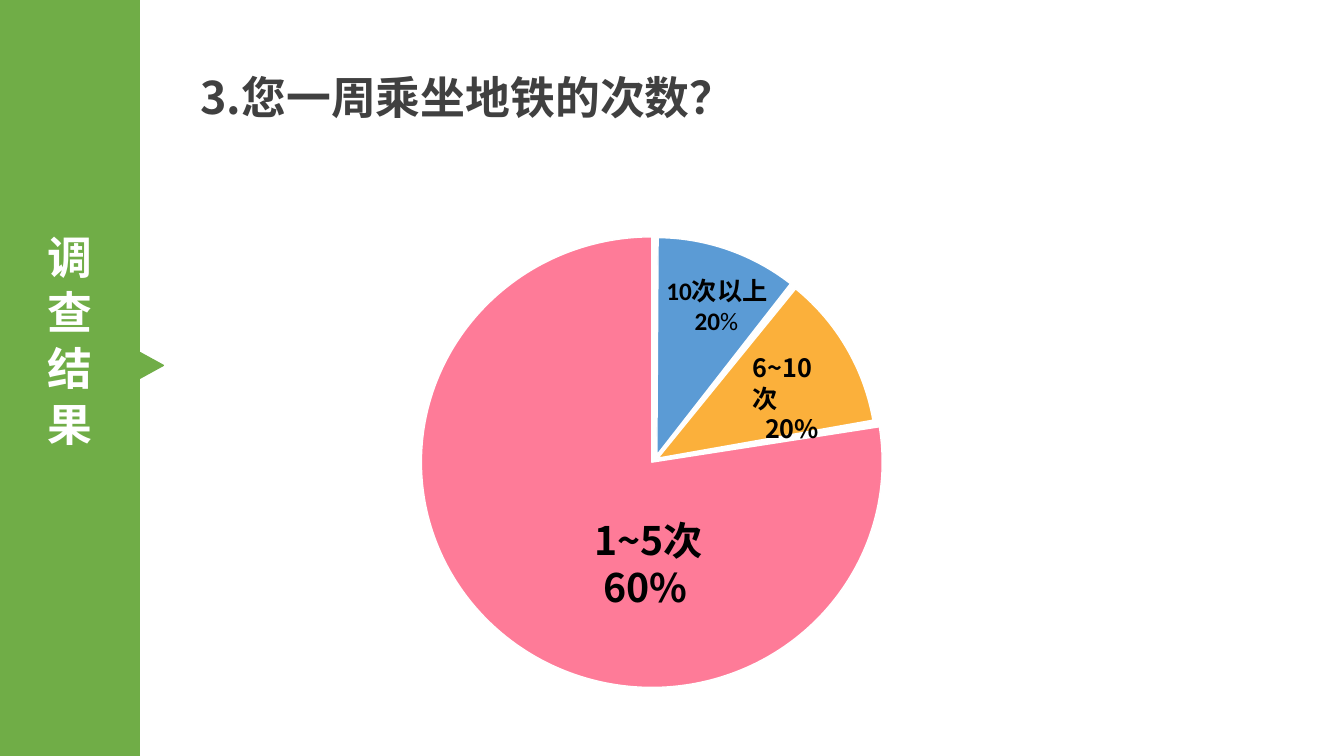
from dataclasses import dataclass

from lxml.etree import SubElement
from pptx import Presentation
from pptx.dml.color import RGBColor
from pptx.enum.shapes import MSO_SHAPE
from pptx.enum.text import MSO_AUTO_SIZE
from pptx.oxml.ns import qn
from pptx.util import Inches, Pt


@dataclass(frozen=True)
class Theme:
    """Colours, fonts and type sizes of the slide."""
    green: str = "70AD47"
    pink: str = "FE7B98"
    blue: str = "5B9BD5"
    orange: str = "FBB03B"
    white: str = "FFFFFF"
    black: str = "000000"
    grey: str = "404040"
    latin: str = "Calibri"
    cjk: str = "Noto Sans CJK SC"
    heading: int = 32
    large: int = 28
    small: int = 18


class SurveySlide:
    """Draws survey elements on one slide in one theme."""

    def __init__(self, slide, theme):
        self.shapes = slide.shapes
        self.theme = theme

    def block(self, preset, box, fill, line, rotation=0, angles=()):
        """Add a filled preset shape."""
        block = self.shapes.add_shape(preset, *map(Inches, box))
        block.rotation = rotation
        block.shadow.inherit = False
        block.fill.solid()
        block.fill.fore_color.rgb = RGBColor.from_string(fill)
        block.line.color.rgb = RGBColor.from_string(line)
        block.line.width = Pt(1)
        for index, angle in enumerate(angles):
            block.adjustments[index] = angle

    def slice(self, box, fill, rotation, angles):
        """Add a pie slice with a white edge."""
        self.block(MSO_SHAPE.PIE, box, fill, self.theme.white, rotation, angles)

    def text(self, box, lines, size, color, latin=None, indent=0, vertical=False):
        """Add a text box whose later lines are indented."""
        frame = self.shapes.add_textbox(*map(Inches, box)).text_frame
        frame.word_wrap = True
        frame.auto_size = MSO_AUTO_SIZE.SHAPE_TO_FIT_TEXT
        if vertical:
            frame._txBody.bodyPr.set("vert", "eaVert")
        for number, pieces in enumerate(lines):
            paragraph = frame.add_paragraph() if number else frame.paragraphs[0]
            if number:
                paragraph._p.get_or_add_pPr().set("marL", str(Inches(indent)))
            for words, bold in pieces:
                run = paragraph.add_run()
                run.text = words
                style = {"size": Pt(size), "bold": bold,
                         "name": latin or self.theme.cjk}
                for attribute, value in style.items():
                    setattr(run.font, attribute, value)
                run.font.color.rgb = RGBColor.from_string(color)
                east_asian = SubElement(run._r.get_or_add_rPr(), qn("a:ea"))
                east_asian.set("typeface", self.theme.cjk)


def main():
    """Build and save the survey slide."""
    deck = Presentation()
    deck.slide_width, deck.slide_height = Inches(13.33), Inches(7.5)
    theme = Theme()
    survey = SurveySlide(deck.slides.add_slide(deck.slide_layouts[6]), theme)

    survey.block(MSO_SHAPE.RECTANGLE, (0, 0, 1.38, 7.5), theme.green, theme.green)
    survey.block(MSO_SHAPE.ISOSCELES_TRIANGLE, (1.19, 3.42, 0.45, 0.41),
                 theme.green, theme.green, 90)
    survey.text((0.26, 2.23, 0.73, 3.24), [[("调 查 结 果", True)]],
                theme.heading, theme.white, vertical=True)

    survey.slice((4.18, 2.35, 4.57, 4.47), theme.pink, 0, (210.7, 162))
    survey.slice((4.35, 2.36, 4.33, 4.31), theme.blue, 27, (146, 168.57))
    survey.slice((4.36, 2.38, 4.33, 4.33), theme.orange, 80, (137.47, 162))

    survey.text((5.8, 5.07, 1.47, 1.03), [[("1~5次", True)], [("60%", True)]],
                theme.large, theme.black, indent=0.09)
    survey.text((7.37, 3.45, 0.96, 0.7), [[("6~10次", True)], [("20%", True)]],
                theme.small, theme.black, indent=0.12)
    survey.text((6.51, 2.68, 1.25, 0.7),
                [[("10次以上", True)], [("20", True), ("%", False)]],
                theme.small, theme.black, theme.latin, 0.28)
    survey.text((1.89, 0.64, 6.85, 0.63), [[("3.您一周乘坐地铁的次数？", True)]],
                theme.heading, theme.grey)

    deck.save("out.pptx")


if __name__ == "__main__":
    main()
